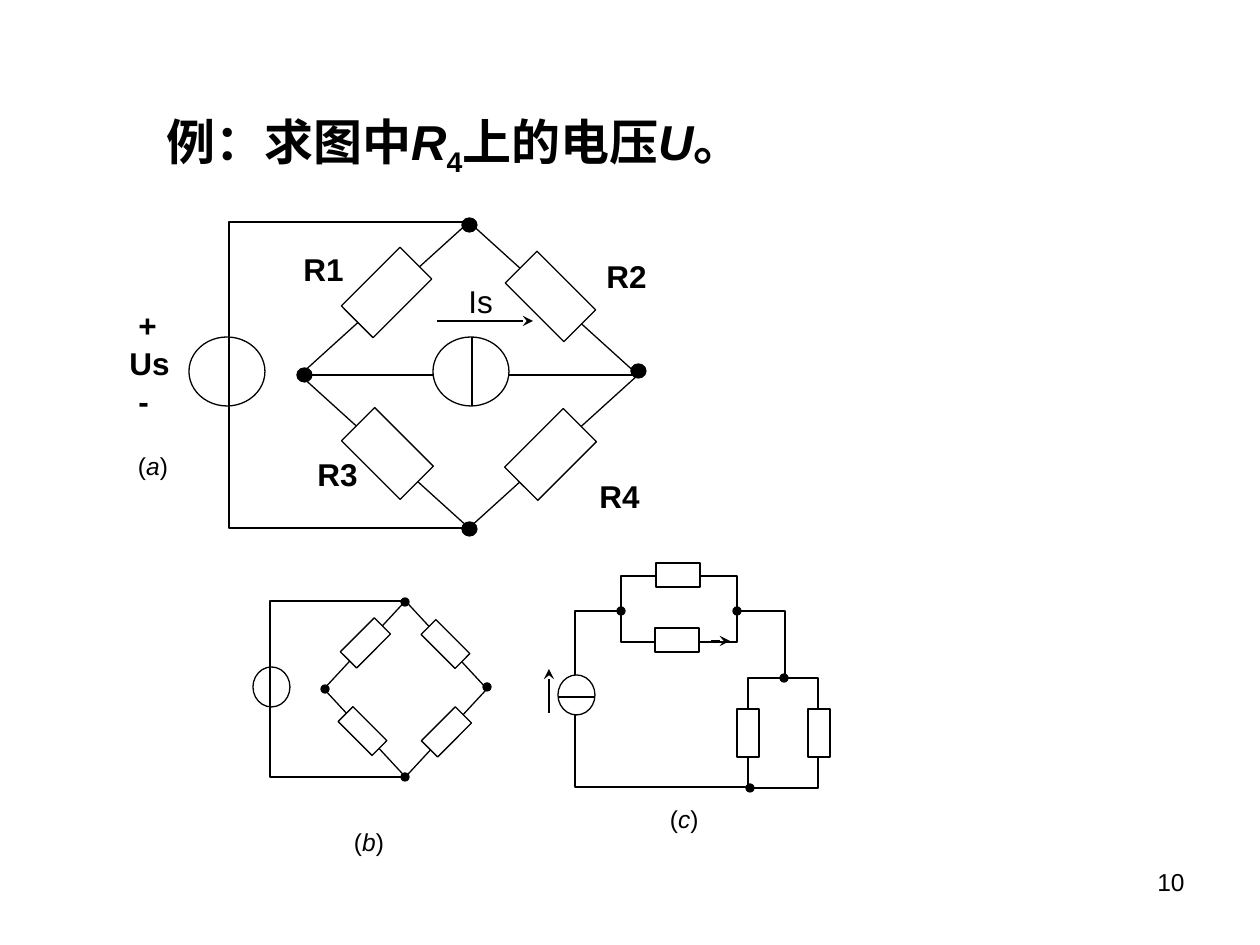
from typing import NamedTuple

from lxml.etree import SubElement
from pptx import Presentation
from pptx.dml.color import RGBColor
from pptx.enum.shapes import MSO_CONNECTOR, MSO_SHAPE as Preset
from pptx.enum.text import MSO_ANCHOR as Anchor, MSO_AUTO_SIZE as AutoSize, PP_ALIGN as Align
from pptx.oxml.ns import qn
from pptx.util import Emu, Pt

BLACK, WHITE = "000000", "FFFFFF"


class Box(NamedTuple):
    left: int
    top: int
    width: int
    height: int
    rotation: int = 0


class Line(NamedTuple):
    x1: int
    y1: int
    x2: int
    y2: int
    arrow: bool = False


class Run(NamedTuple):
    text: str
    italic: bool = False
    baseline: int = 0


class Label(NamedTuple):
    text: str
    box: Box
    bold: bool = True


class Caption(NamedTuple):
    letter: str
    left: int
    top: int


class Bridge(NamedTuple):
    diamond: Box
    source: Box
    resistors: tuple[Box, ...]
    wire_left: int


TITLE = [Run("例：求图中"), Run("R", True), Run("4", baseline=-25000),
         Run("上的电压"), Run("U", True), Run("。")]
BRIDGE_A = Bridge(
    Box(300, 222, 338, 306), Box(189, 337, 76, 69),
    (Box(364, 412, 47, 83, 315), Box(528, 255, 45, 83, 315),
     Box(527, 413, 47, 83, 45), Box(364, 251, 45, 83, 45)), 229)
BRIDGE_B = Bridge(
    Box(324, 601, 163, 176), Box(253, 667, 37, 40),
    (Box(352, 707, 21, 48, 315), Box(435, 620, 21, 48, 315),
     Box(435, 708, 23, 48, 45), Box(354, 619, 23, 48, 45)), 270)
CURRENT_SOURCE_A = Box(433, 337, 76, 69)
CURRENT_SOURCE_C = Box(558, 675, 37, 40)
LOOPS_C = [Box(575, 611, 210, 176), Box(621, 576, 116, 66), Box(748, 678, 70, 110)]
RESISTORS_C = [Box(656, 563, 44, 24), Box(655, 628, 44, 24),
               Box(724, 722, 48, 22, 270), Box(795, 722, 48, 22, 270)]
LINES = [Line(437, 321, 533, 321, True), Line(472, 337, 472, 406),
         Line(549, 713, 549, 669, True), Line(711, 641, 730, 641, True),
         Line(558, 697, 595, 697)]
DOTS_A = [(469, 225), (469, 529), (638, 371), (304, 375)]
DOTS_BC = [(405, 602), (405, 777), (487, 687), (325, 689),
           (621, 611), (737, 611), (784, 678), (750, 788)]
LABELS = [Label("R1", Box(291, 244, 74, 50)), Label("R2", Box(594, 251, 74, 50)),
          Label("R3", Box(305, 449, 74, 50)), Label("R4", Box(587, 471, 74, 50)),
          Label("Is", Box(456, 276, 58, 50), False)]
CAPTIONS = [Caption("a", 138, 451), Caption("b", 354, 827), Caption("c", 670, 804)]


def px(value: int) -> Emu:
    return Emu(round(value * 914400 / 126))


def color(value: str) -> RGBColor:
    return RGBColor.from_string(value)


def set_font(paragraph, size: int, bold: bool = False) -> None:
    font = paragraph.font
    font.name, font.size, font.bold = "Arial", Pt(size), bold
    font.color.rgb = color(BLACK)


def add_runs(paragraph, runs: list[Run]) -> None:
    for item in runs:
        run = paragraph.add_run()
        run.text = item.text
        if item.italic:
            run.font.italic = True
        if item.baseline:
            run.font._element.set("baseline", str(item.baseline))


def style_outline(shape) -> None:
    shape.line.color.rgb = color(BLACK)
    shape.line.width = Pt(0.75)


def add_shape(slide, preset: Preset, box: Box, fill: str = WHITE):
    shape = slide.shapes.add_shape(preset, *map(px, box[:4]))
    shape.rotation = box.rotation
    shape.shadow.inherit = False
    shape.fill.solid()
    shape.fill.fore_color.rgb = color(fill)
    style_outline(shape)
    return shape


def add_line(slide, line: Line):
    connector = slide.shapes.add_connector(MSO_CONNECTOR.STRAIGHT, *map(px, line[:4]))
    style_outline(connector)
    if line.arrow:
        SubElement(connector.line._get_or_add_ln(), qn("a:tailEnd"), type="stealth")
    SubElement(connector._element.spPr, qn("a:effectLst"))
    return connector


def add_dot(slide, x: int, y: int, width: int, height: int) -> None:
    box = Box(x - width // 2, y - height // 2, width, height)
    add_shape(slide, Preset.OVAL, box, BLACK)


def add_wire(slide, bridge: Bridge) -> None:
    box = bridge.diamond
    middle, bottom = box.left + box.width // 2, box.top + box.height
    builder = slide.shapes.build_freeform(px(middle), px(box.top))
    corners = [(bridge.wire_left, box.top), (bridge.wire_left, bottom), (middle, bottom)]
    builder.add_line_segments([(px(x), px(y)) for x, y in corners], close=False)
    wire = builder.convert_to_shape()
    wire.shadow.inherit = False
    wire.fill.background()
    style_outline(wire)


def add_bridge(slide, bridge: Bridge):
    diamond = add_shape(slide, Preset.DIAMOND, bridge.diamond)
    add_shape(slide, Preset.OVAL, bridge.source)
    for resistor in bridge.resistors:
        add_shape(slide, Preset.RECTANGLE, resistor)
    add_wire(slide, bridge)
    return diamond


def add_text_box(slide, box: Box, wrap: bool = False):
    frame = slide.shapes.add_textbox(*map(px, box[:4])).text_frame
    frame.word_wrap = wrap
    return frame


def add_label(slide, label: Label) -> None:
    frame = add_text_box(slide, label.box)
    frame.text = label.text
    set_font(frame.paragraphs[0], 18, label.bold)


def add_caption(slide, caption: Caption) -> None:
    frame = add_text_box(slide, Box(caption.left, caption.top, 40, 28))
    frame.margin_left = frame.margin_right = frame.margin_top = frame.margin_bottom = 0
    paragraph = frame.paragraphs[0]
    set_font(paragraph, 14)
    add_runs(paragraph, [Run("("), Run(caption.letter, True), Run(")")])


def add_source_label(slide) -> None:
    frame = add_text_box(slide, Box(117, 300, 66, 126))
    frame.text = "+\nUs\n-"
    for paragraph in frame.paragraphs:
        set_font(paragraph, 18, True)
        if paragraph.text != "Us":
            paragraph._p.get_or_add_pPr().set("marL", str(px(9)))


def add_title(slide) -> None:
    title = slide.shapes.title
    title.left, title.top, title.width, title.height = map(px, (154, 105, 670, 79))
    frame = title.text_frame
    frame.auto_size, frame.vertical_anchor = AutoSize.NONE, Anchor.TOP
    paragraph = frame.paragraphs[0]
    paragraph.alignment = Align.LEFT
    set_font(paragraph, 28, True)
    add_runs(paragraph, TITLE)


def main() -> None:
    presentation = Presentation()
    presentation.slide_width, presentation.slide_height = px(1260), px(945)
    slide = presentation.slides.add_slide(presentation.slide_layouts[5])
    add_title(slide)

    diamond = add_bridge(slide, BRIDGE_A)
    diagonal = add_line(slide, Line(300, 375, 638, 375))
    diagonal.begin_connect(diamond, 1)
    diagonal.end_connect(diamond, 3)
    add_shape(slide, Preset.OVAL, CURRENT_SOURCE_A)
    add_bridge(slide, BRIDGE_B)

    for loop in LOOPS_C:
        add_shape(slide, Preset.RECTANGLE, loop)
    add_shape(slide, Preset.OVAL, CURRENT_SOURCE_C)
    for resistor in RESISTORS_C:
        add_shape(slide, Preset.RECTANGLE, resistor)
    for line in LINES:
        add_line(slide, line)
    for x, y in DOTS_A:
        add_dot(slide, x, y, 15, 14)
    for x, y in DOTS_BC:
        add_dot(slide, x, y, 8, 8)

    for label in LABELS:
        add_label(slide, label)
    for caption in CAPTIONS:
        add_caption(slide, caption)
    add_source_label(slide)
    number = add_text_box(slide, Box(903, 861, 294, 65), True)
    number.text = "10"
    number.paragraphs[0].alignment = Align.RIGHT
    set_font(number.paragraphs[0], 14)
    presentation.save("out.pptx")


if __name__ == "__main__":
    main()
